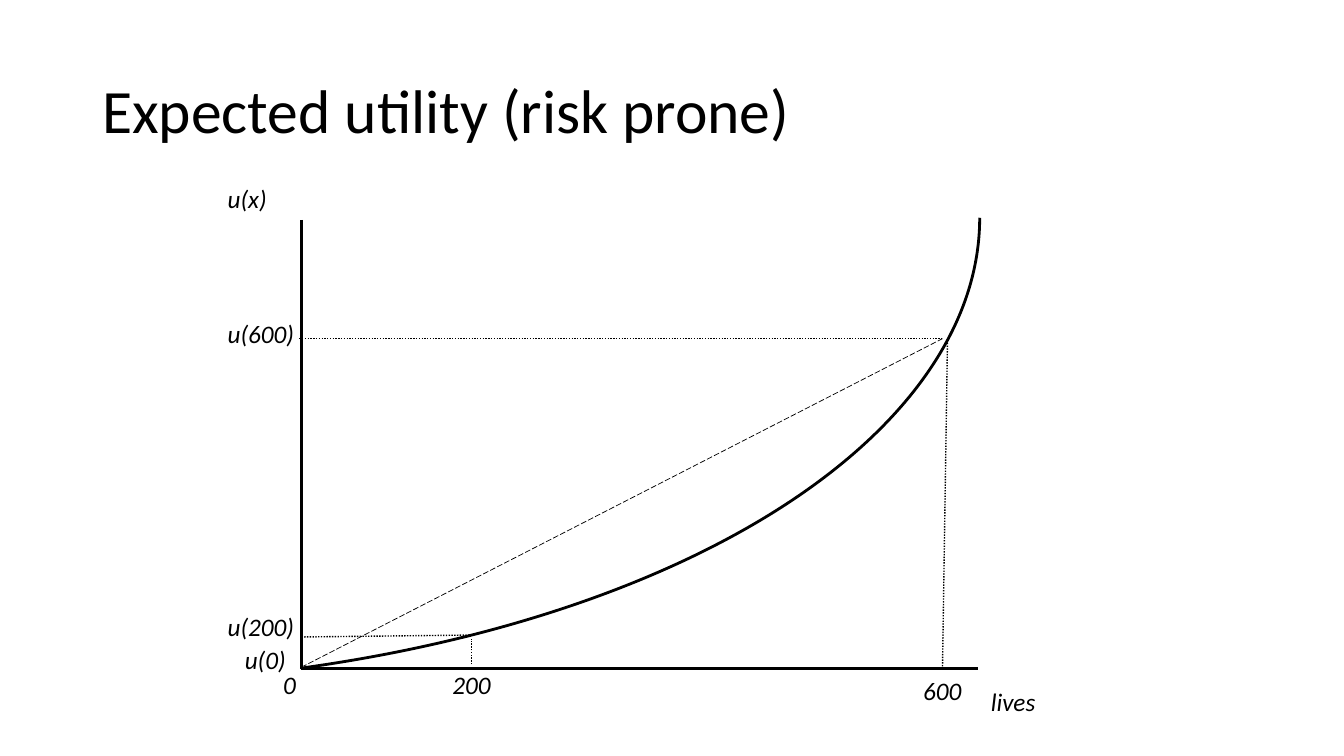
from dataclasses import dataclass

from lxml import etree
from pptx import Presentation
from pptx.dml.color import RGBColor
from pptx.enum.dml import MSO_LINE
from pptx.enum.shapes import MSO_CONNECTOR, MSO_SHAPE
from pptx.enum.text import MSO_ANCHOR, MSO_AUTO_SIZE
from pptx.oxml.ns import qn
from pptx.util import Pt

STRAIGHT = MSO_CONNECTOR.STRAIGHT
ARC = MSO_SHAPE.ARC
DOTTED = MSO_LINE.ROUND_DOT
DASHED = MSO_LINE.LONG_DASH
MIDDLE = MSO_ANCHOR.MIDDLE
GROW = MSO_AUTO_SIZE.SHAPE_TO_FIT_TEXT


@dataclass(frozen=True)
class Theme:
    font: str = "Calibri"
    ink: RGBColor = RGBColor(0, 0, 0)
    title_size: int = 44
    label_size: int = 18
    heavy: float = 2
    guide: float = 1
    thin: float = 0.5


class SlideBuilder:
    def __init__(self, s, theme):
        self.s = s
        self.theme = theme

    def text(self, text, left, top, width, height, size):
        tf = self.s.shapes.add_textbox(Pt(left), Pt(top), Pt(width), Pt(height)).text_frame
        tf.word_wrap = True
        tf.text = text
        font = tf.paragraphs[0].runs[0].font
        font.name = self.theme.font
        font.size = Pt(size)
        font.color.rgb = self.theme.ink
        return tf

    def title(self, text, left, top, width, height):
        tf = self.text(text, left, top, width, height, self.theme.title_size)
        tf.vertical_anchor = MIDDLE
        tf.paragraphs[0].line_spacing = 0.9

    def label(self, text, left, top, width):
        tf = self.text(text, left, top, width, 29, self.theme.label_size)
        tf.auto_size = GROW
        tf.paragraphs[0].runs[0].font.italic = True

    def stroke(self, line, weight):
        line.color.rgb = self.theme.ink
        line.width = Pt(weight)

    def line(self, start, end, weight, dash=None):
        c = self.s.shapes.add_connector(STRAIGHT, *map(Pt, start + end))
        self.stroke(c.line, weight)
        if dash:
            c.line.dash_style = dash
        etree.SubElement(c._element.spPr, qn("a:effectLst"))

    def arc(self, left, top, width, height, sweep):
        """Clockwise arc that starts at the right end of its ellipse."""
        sp = self.s.shapes.add_shape(ARC, Pt(left), Pt(top), Pt(width), Pt(height))
        sp.shadow.inherit = False
        sp.fill.background()
        self.stroke(sp.line, self.theme.heavy)
        sp.adjustments[0] = 0
        sp.adjustments[1] = sweep * 0.6  # 60000 units per degree, scaled by 100000


def main():
    prs = Presentation()
    prs.slide_width, prs.slide_height = Pt(960), Pt(540)
    theme = Theme()
    b = SlideBuilder(prs.slides.add_slide(prs.slide_layouts[6]), theme)

    b.title("Expected utility (risk prone)", 66, 28.8, 828, 104.4)

    # Axes
    x0, y0 = 215.3, 477.4
    b.line((x0, 157), (x0, 478), theme.heavy)
    b.line((x0, y0), (698.4, y0), theme.heavy)

    # Guides to the values at 200 and 600 lives
    x200, x600, y600 = 337, 673.2, 241.9
    for start, end in (
        ((x200, 474.5), (x200, 456.5)),
        ((x0, 455), (x200, 453.6)),
        ((x600, 478), (676.8, y600)),
        ((213.8, y600), (x600, y600)),
    ):
        b.line(start, end, theme.guide, DOTTED)

    # Chord and utility curve
    b.line((x0, 476.6), (x600, y600), theme.thin, DASHED)
    b.arc(-614.2, -177.8, 1314, 666.7, 61.51)

    # Axis labels
    for text, left, top, width in (
        ("u(x)", 155.5, 127.4, 49),
        ("u(600)", 155.5, 223.9, 62.6),
        ("u(200)", 155.5, 433.4, 62.6),
        ("u(0)", 167.8, 456.5, 62.6),
        ("0", 195.1, 474.5, 39.6),
        ("200", 316.1, 474.5, 49.7),
        ("600", 652.3, 478.8, 49.7),
        ("lives", 700.6, 486.7, 63.4),
    ):
        b.label(text, left, top, width)

    prs.save("out.pptx")


if __name__ == "__main__":
    main()
